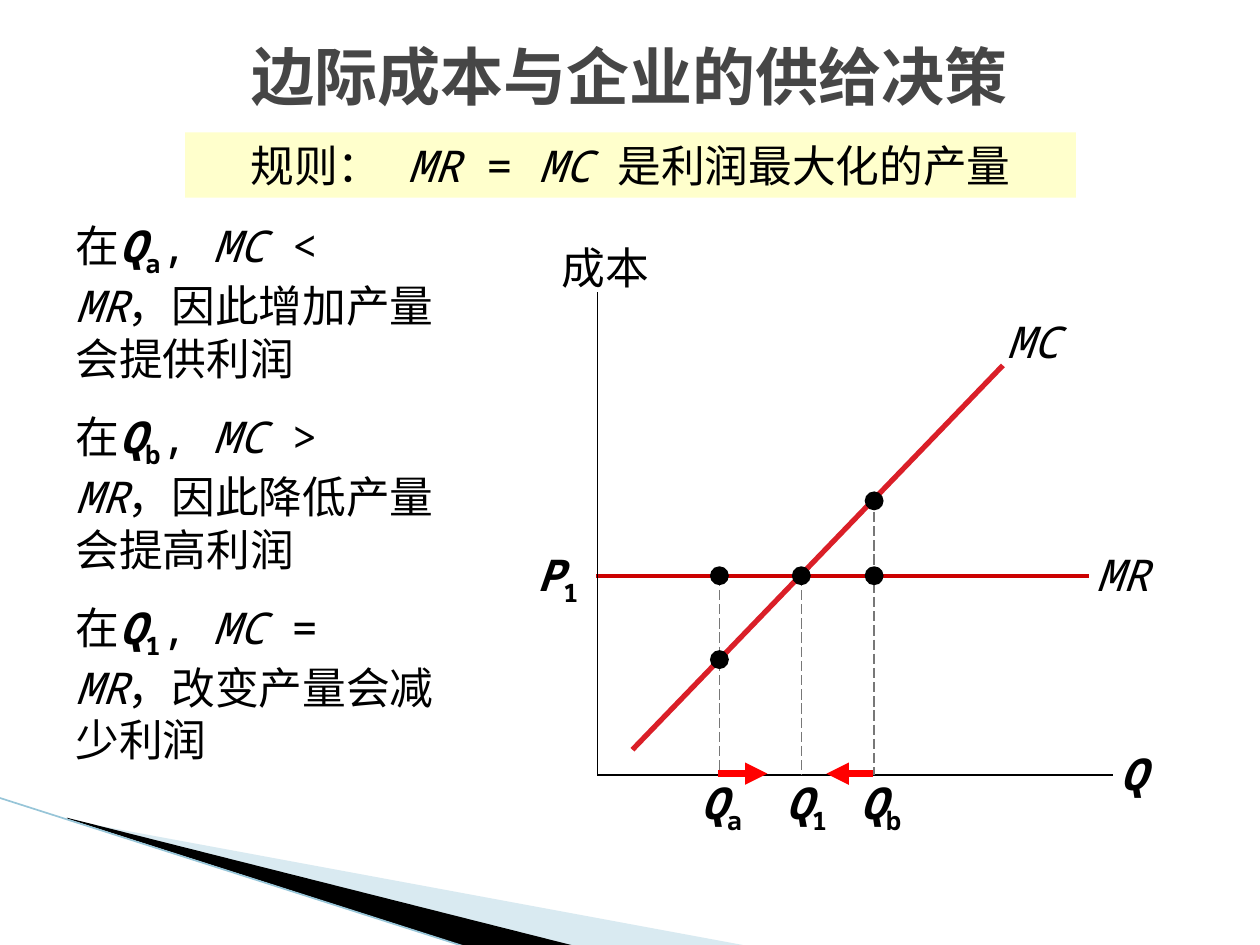
from pptx import Presentation
from pptx import util as u
from pptx.dml.color import RGBColor
from pptx.enum import dml, shapes, text
from pptx.oxml.ns import qn
from lxml import etree

FONT = "Noto Sans Mono"
BLACK = RGBColor(0, 0, 0)
TITLE_GREY = RGBColor(0x46, 0x46, 0x46)
GUIDE_GREY = RGBColor(0x77, 0x77, 0x77)
PALE_BLUE = RGBColor(0xA0, 0xCB, 0xDC)
EDGE_BLUE = RGBColor(0x97, 0xC5, 0xD8)
PALE_YELLOW = RGBColor(0xFF, 0xFF, 0xCC)
MR_RED = RGBColor(0xCC, 0, 0)
MC_RED = RGBColor(0xDA, 0x1F, 0x28)
ARROW_RED = RGBColor(0xFF, 0, 0)
LEFT, CENTER, RIGHT = text.PP_ALIGN.LEFT, text.PP_ALIGN.CENTER, text.PP_ALIGN.RIGHT

# Content: spans are (text, style), with b = bold, i = italic, s = subscript
TITLE = [("边际成本与企业的供给决策", "b")]
RULE = [("规则： ", ""), ("MR", "i"), (" = ", ""), ("MC", "i"),
        (" 是利润最大化的产量", "")]
CASES = [("a", "<", "，因此增加产量会提供利润"),
         ("b", ">", "，因此降低产量会提高利润"),
         ("1", "=", "，改变产量会减少利润")]

# Chart geometry in points
ORIGIN_X, ORIGIN_Y = 341.3, 442.8
PRICE_Y = 329
DOT = 10.8
LINES = [  # start, end, colour, width
    ((340.6, PRICE_Y), (622.1, PRICE_Y), MR_RED, 2.25),
    ((ORIGIN_X, 167), (ORIGIN_X, ORIGIN_Y), BLACK, 0.75),
    ((ORIGIN_X, ORIGIN_Y), (635.8, ORIGIN_Y), BLACK, 0.75),
    ((361.4, 428.4), (573.1, 208.8), MC_RED, 3),
]
QUANTITIES = [  # subscript, x, label left, label width, guide top, MC dot y
    ("1", 457.9, 444.2, 33.1, PRICE_Y, None),
    ("a", 411.1, 394.6, 35.3, PRICE_Y, 376.9),
    ("b", 499.5, 487.4, 31.7, 284.4, 286.2),
]
LABELS = [  # spans, frame, alignment, inset
    ([("P", "bi"), ("1", "bs")], (289.4, 309.6, 48.2, 37.4), RIGHT, True),
    ([("MR", "i")], (626.4, 313.2, 47.5, 30.2), LEFT, False),
    ([("Q", "bi")], (632.9, 423.4, 42.5, 37.4), LEFT, True),
    ([("成本", "")], (291.6, 133.9, 86.4, 37.4), RIGHT, True),
    ([("MC", "i")], (575.3, 180, 47.5, 30.2), LEFT, False),
]
ARROWS = [(410.4, 438.5), (499, 472.3)]
ARROW_Y = 442.1
WEDGES = [  # outline, colour, opacity in percent
    ([(39.6, 468.7), (428.4, 540.7), (328.3, 540.7), (39.6, 468)], PALE_BLUE, 40),
    ([(38.2, 467.3), (329, 540.7), (267.8, 541.4), (38.9, 468)], BLACK, 100),
]

deck = Presentation()
deck.slide_width, deck.slide_height = u.Pt(720), u.Pt(540)
page = deck.slides.add_slide(deck.slide_layouts[6])


def points(values):
    return [u.Pt(value) for value in values]


def write_spans(para, spans, size=25, color=BLACK, align=LEFT):
    para.alignment = align
    for words, style in spans:
        span = para.add_run()
        span.text = words
        font = span.font
        font.size, font.name = u.Pt(size), FONT
        font.bold, font.italic = "b" in style, "i" in style
        font.color.rgb = color
        props = font._element
        etree.SubElement(props, qn("a:ea"), typeface=FONT)
        if "s" in style:
            props.set("baseline", "-25000")


def add_text(spans, frame, align=LEFT, inset=True, **look):
    box = page.shapes.add_textbox(*points(frame))
    body = box.text_frame
    body.word_wrap = True
    if not inset:
        body.margin_left = body.margin_right = body.margin_top = body.margin_bottom = 0
    write_spans(body.paragraphs[0], spans, align=align, **look)
    return body


def add_line(start, end, color, width, dashed=False, arrow=False):
    line = page.shapes.add_connector(shapes.MSO_CONNECTOR.STRAIGHT,
                                     *points(start + end))
    line.line.color.rgb = color
    line.line.width = u.Pt(width)
    if dashed:
        line.line.dash_style = dml.MSO_LINE.LONG_DASH
    props = line._element.spPr
    if arrow:
        etree.SubElement(props.find(qn("a:ln")), qn("a:tailEnd"), type="triangle")
    etree.SubElement(props, qn("a:effectLst"))


def paint(shape, color, opacity=100):
    shape.shadow.inherit = False
    shape.fill.solid()
    shape.fill.fore_color.rgb = color
    shape.line.fill.background()
    if opacity < 100:
        tint = shape._element.spPr.find(qn("a:solidFill"))[0]
        etree.SubElement(tint, qn("a:alpha"), val=str(opacity * 1000))


def add_dot(x, y):
    dot = page.shapes.add_shape(shapes.MSO_SHAPE.OVAL,
                                *points((x - DOT / 2, y - DOT / 2, DOT, DOT)))
    paint(dot, BLACK)


# Corner decoration
for outline, color, opacity in WEDGES:
    corners = [points(corner) for corner in outline]
    builder = page.shapes.build_freeform(*corners[0])
    builder.add_line_segments(corners[1:], close=True)
    paint(builder.convert_to_shape(), color, opacity)
add_line((-0.7, 455.8), (267.1, 541.4), EDGE_BLUE, 0.95)

# Title and the three cases
heading = add_text(TITLE, (36, 17.3, 648, 51.1), CENTER, size=36, color=TITLE_GREY)
heading.vertical_anchor = text.MSO_ANCHOR.MIDDLE

cases = add_text([], (36, 121.7, 222.5, 371.5))
for index, (mark, sign, result) in enumerate(CASES):
    para = cases.add_paragraph() if index else cases.paragraphs[0]
    if index:
        para.space_before = u.Pt(15)
    write_spans(para, [("在", ""), ("Q", "bi"), (mark, "bs"), (", ", ""), ("MC", "i"),
                       (f" {sign} ", ""), ("MR", "i"), (result, "")])

# Axes, curves and their labels
for line in LINES:
    add_line(*line)
for label in LABELS:
    add_text(*label)

# Quantities with guides and dots
for mark, x, left, width, top, cost_y in QUANTITIES:
    add_text([("Q", "bi"), (mark, "bs")], (left, 443.5, width, 30.2), CENTER, False)
    add_line((x, top), (x, ORIGIN_Y), GUIDE_GREY, 0.75, dashed=True)
    add_dot(x, PRICE_Y)
    if cost_y:
        add_dot(x, cost_y)

# Rule banner
banner = page.shapes.add_shape(shapes.MSO_SHAPE.RECTANGLE,
                               *points((105.8, 75.6, 509, 37.4)))
paint(banner, PALE_YELLOW)
banner.text_frame.word_wrap = True
banner.text_frame.vertical_anchor = text.MSO_ANCHOR.TOP
write_spans(banner.text_frame.paragraphs[0], RULE, align=CENTER)

# Arrows towards the best quantity
for start_x, end_x in ARROWS:
    add_line((start_x, ARROW_Y), (end_x, ARROW_Y), ARROW_RED, 4.25, arrow=True)

deck.save("out.pptx")
